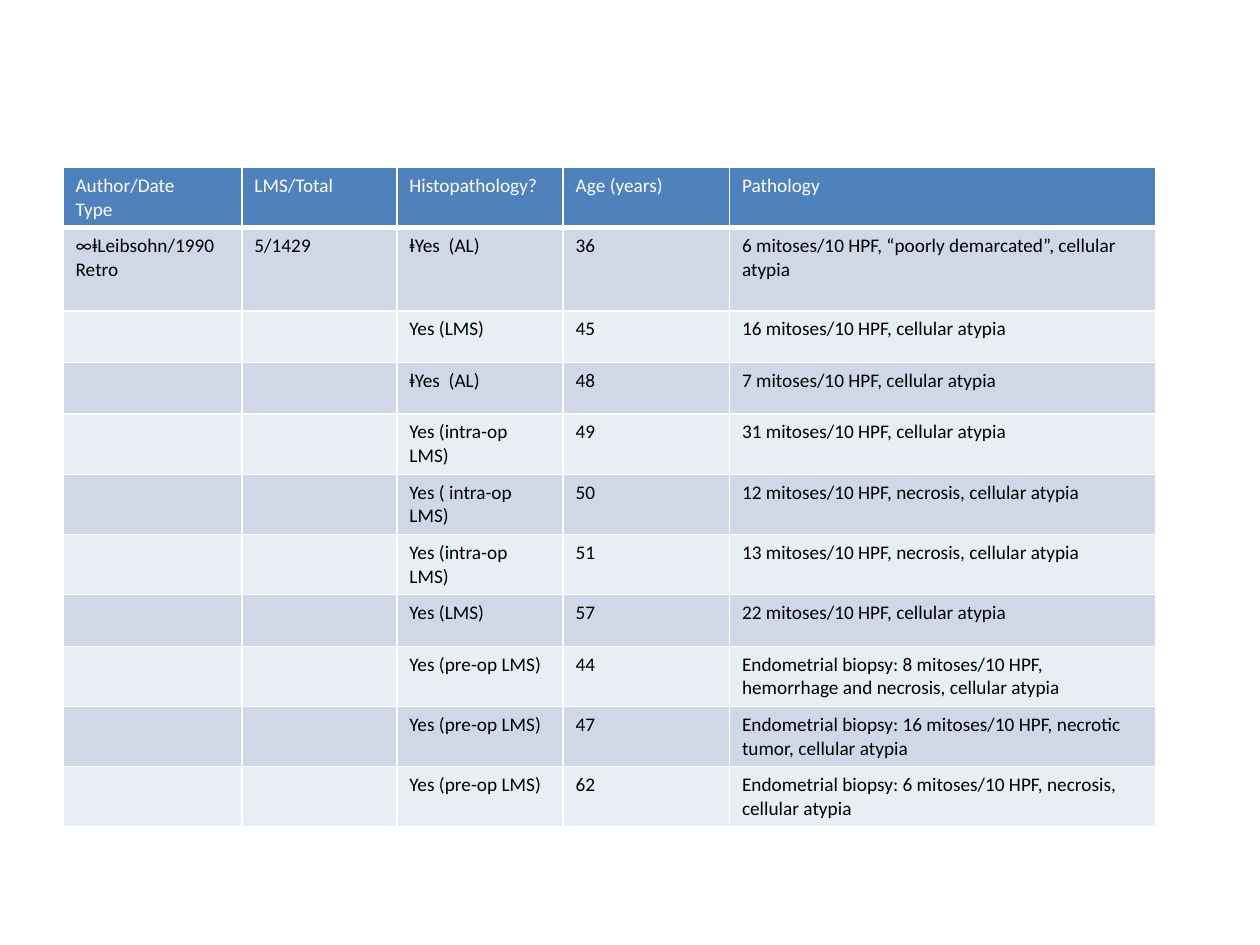
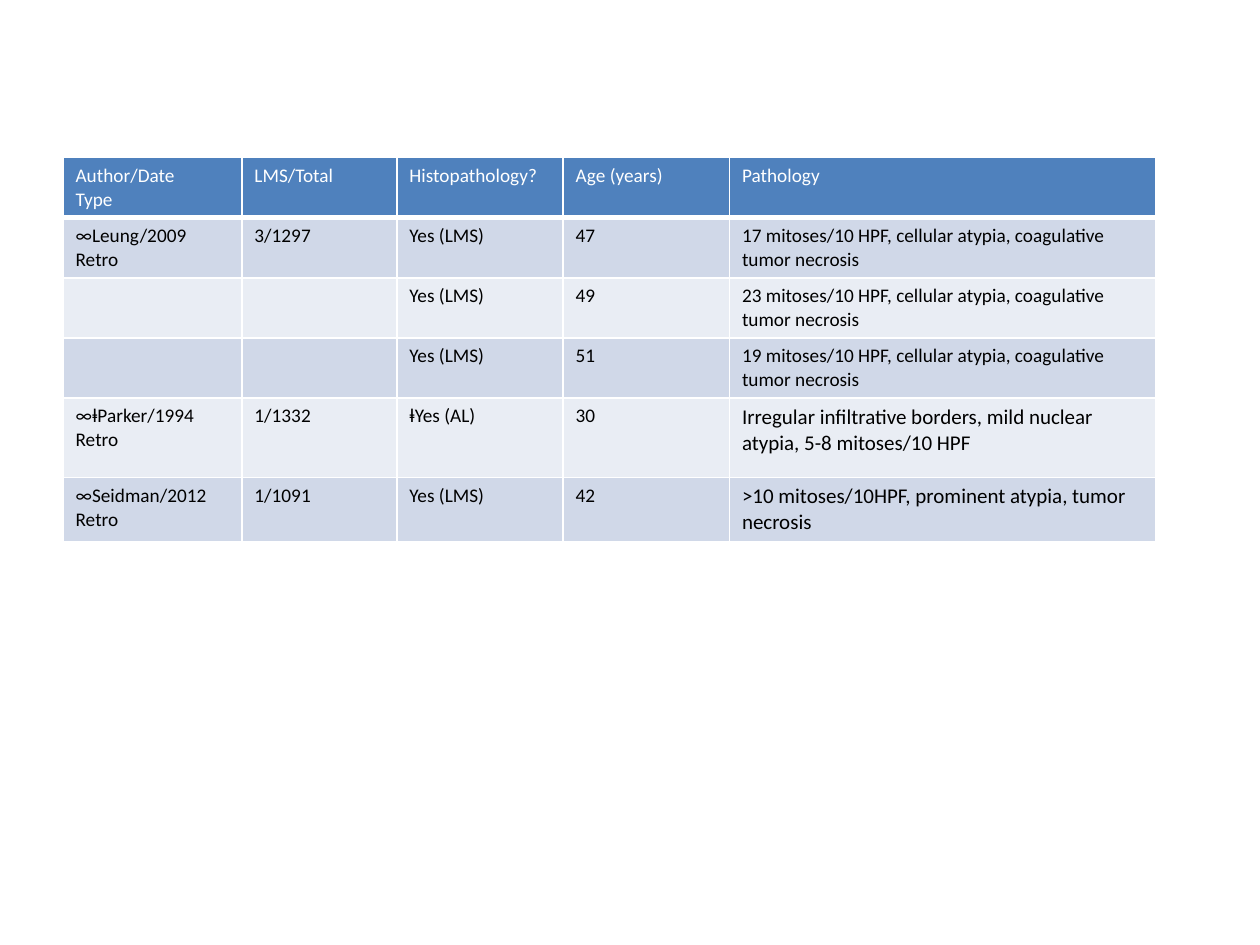
"""Build two slides of study tables that share one grid and style."""
from dataclasses import dataclass

from lxml.etree import SubElement
from pptx import Presentation
from pptx.dml.color import RGBColor
from pptx.oxml.ns import qn
from pptx.slide import Slide
from pptx.table import _Cell
from pptx.util import Inches, Pt


@dataclass(frozen=True)
class Theme:
    font: str = "Calibri"
    size: float = 11
    large: float = 12
    head: str = "4F81BD"
    bands: tuple[str, str] = ("D0D8E8", "E9EDF4")
    light: str = "FFFFFF"
    dark: str = "000000"
    thin: float = 1
    thick: float = 3


@dataclass(frozen=True)
class Row:
    high: float
    texts: tuple[str, ...]
    large: bool = False


@dataclass(frozen=True)
class Sheet:
    top: float
    head: float
    rows: tuple[Row, ...]


THEME = Theme()
LEFT = 0.5
COLS = (1.42, 1.23, 1.32, 1.32, 3.38)
HEADS = ("Author/Date\nType", "LMS/Total", "Histopathology?", "Age (years)", "Pathology")
LOW, TALL = 0.41, 0.47


def case(high: float, kind: str, age: str, note: str,
         study: str = "", total: str = "", large: bool = False) -> Row:
    """Return one patient row, with the study named only where it starts."""
    return Row(high, (study, total, kind, age, note), large)


SHEETS = (
    Sheet(1.33, TALL, (
        case(0.66, "ⱡYes  (AL)", "36", "6 mitoses/10 HPF, “poorly demarcated”, cellular atypia",
             "∞ⱡLeibsohn/1990 Retro", "5/1429"),
        case(LOW, "Yes (LMS)", "45", "16 mitoses/10 HPF, cellular atypia"),
        case(LOW, "ⱡYes  (AL)", "48", "7 mitoses/10 HPF, cellular atypia"),
        case(LOW, "Yes (intra-op LMS)", "49", "31 mitoses/10 HPF, cellular atypia"),
        case(TALL, "Yes ( intra-op LMS)", "50", "12 mitoses/10 HPF, necrosis, cellular atypia"),
        case(LOW, "Yes (intra-op LMS)", "51", "13 mitoses/10 HPF, necrosis, cellular atypia"),
        case(LOW, "Yes (LMS)", "57", "22 mitoses/10 HPF, cellular atypia"),
        case(TALL, "Yes (pre-op LMS)", "44",
             "Endometrial biopsy: 8 mitoses/10 HPF, hemorrhage and necrosis, cellular atypia"),
        case(TALL, "Yes (pre-op LMS)", "47",
             "Endometrial biopsy: 16 mitoses/10 HPF, necrotic tumor, cellular atypia"),
        case(TALL, "Yes (pre-op LMS)", "62",
             "Endometrial biopsy: 6 mitoses/10 HPF, necrosis, cellular atypia"),
    )),
    Sheet(1.25, LOW, (
        case(LOW, "Yes (LMS)", "47", "17 mitoses/10 HPF, cellular atypia, coagulative tumor necrosis",
             "∞Leung/2009 \nRetro", "3/1297"),
        case(LOW, "Yes (LMS)", "49", "23 mitoses/10 HPF, cellular atypia, coagulative tumor necrosis"),
        case(LOW, "Yes (LMS)", "51", "19 mitoses/10 HPF, cellular atypia, coagulative tumor necrosis"),
        case(0.63, "ⱡYes (AL)", "30",
             "Irregular infiltrative borders, mild nuclear atypia, 5-8 mitoses/10 HPF",
             "∞ⱡParker/1994\nRetro", "1/1332", True),
        case(LOW, "Yes (LMS)", "42", ">10 mitoses/10HPF, prominent atypia, tumor necrosis",
             "∞Seidman/2012\nRetro", "1/1091", True),
    )),
)


def rule(cell: _Cell, base: float) -> None:
    """Draw the four cell borders, the lower one at its own width."""
    props = cell._tc.get_or_add_tcPr()
    for side in "LRTB":
        width = base if side == "B" else THEME.thin
        line = SubElement(props, qn(f"a:ln{side}"), w=str(Pt(width)))
        fill = SubElement(line, qn("a:solidFill"))
        SubElement(fill, qn("a:srgbClr"), val=THEME.light)


def paint(cell: _Cell, text: str, fill: str, ink: str, size: float, base: float) -> None:
    """Fill one cell and set its text."""
    rule(cell, base)
    cell.fill.solid()
    cell.fill.fore_color.rgb = RGBColor.from_string(fill)
    if not text:
        return
    cell.text = text
    form = {"name": THEME.font, "size": Pt(size), "bold": False}
    for para in cell.text_frame.paragraphs:
        for run in para.runs:
            for key, value in form.items():
                setattr(run.font, key, value)
            run.font.color.rgb = RGBColor.from_string(ink)


def draw(slide: Slide, sheet: Sheet) -> None:
    """Place the table of one sheet on its slide."""
    rows = (Row(sheet.head, HEADS), *sheet.rows)
    high = sum(row.high for row in rows)
    table = slide.shapes.add_table(
        len(rows), len(COLS), Inches(LEFT), Inches(sheet.top),
        Inches(sum(COLS)), Inches(high)).table
    for col, width in zip(table.columns, COLS):
        col.width = Inches(width)
    for i, row in enumerate(rows):
        table.rows[i].height = Inches(row.high)
        fill, ink, base = ((THEME.bands[(i - 1) % 2], THEME.dark, THEME.thin) if i
                           else (THEME.head, THEME.light, THEME.thick))
        for j, text in enumerate(row.texts):
            last = j == len(COLS) - 1
            size = THEME.large if row.large and last else THEME.size
            paint(table.cell(i, j), text, fill, ink, size, base)


def main() -> None:
    """Build and save the deck."""
    deck = Presentation()
    deck.slide_width, deck.slide_height = Inches(10), Inches(7.5)
    for sheet in SHEETS:
        draw(deck.slides.add_slide(deck.slide_layouts[6]), sheet)
    deck.save("out.pptx")


main()
